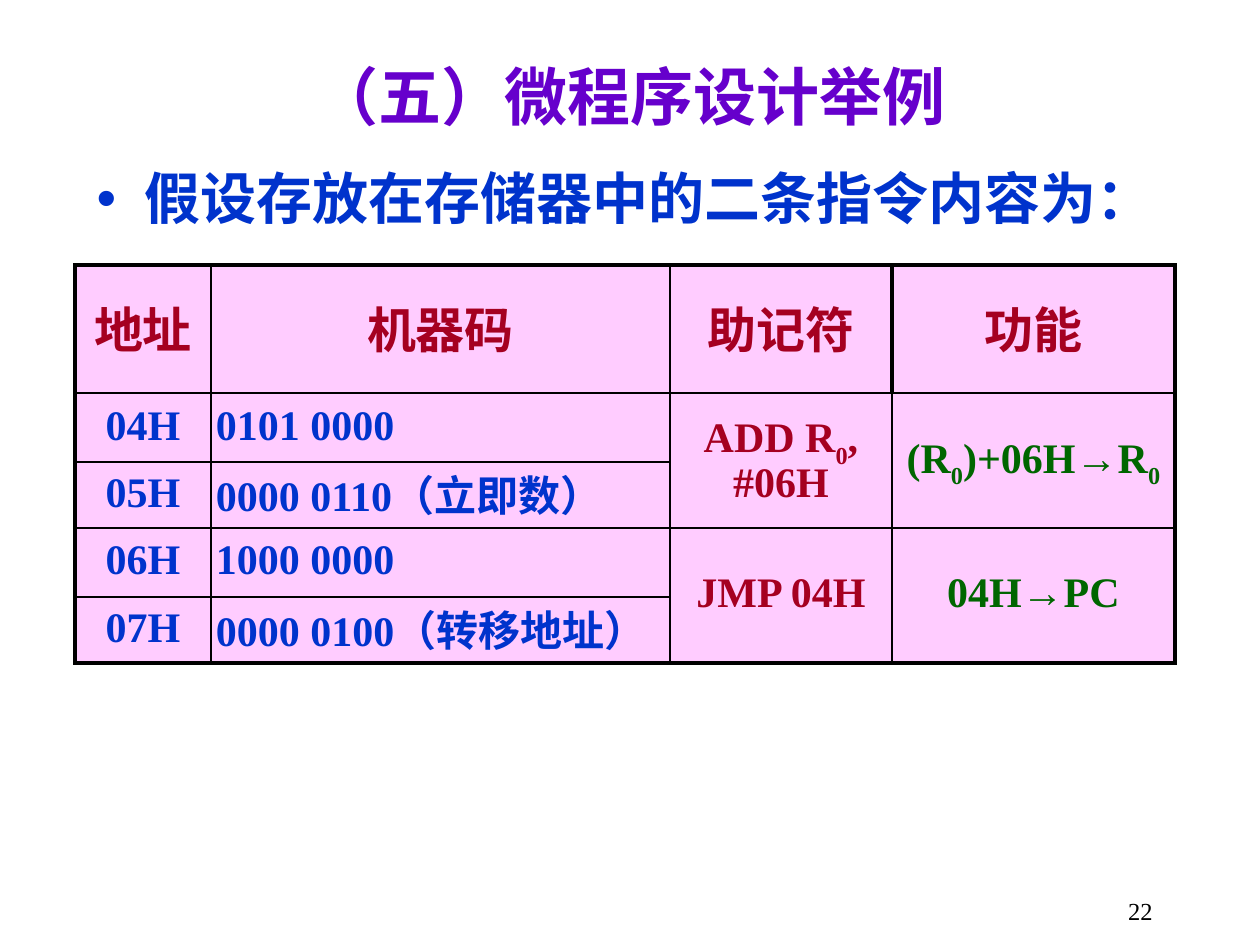
from dataclasses import dataclass

from lxml.etree import SubElement
from pptx import Presentation
from pptx.dml.color import RGBColor
from pptx.enum.text import MSO_ANCHOR, MSO_AUTO_SIZE, PP_ALIGN
from pptx.oxml.ns import qn
from pptx.util import Emu, Pt


@dataclass(frozen=True)
class Theme:
    """Colours, font and type sizes of the slide."""
    font: str = "Times New Roman"
    purple: str = "6600CC"
    blue: str = "0033CC"
    red: str = "A50021"
    green: str = "006600"
    black: str = "000000"
    pink: str = "FFCCFF"
    title: int = 36
    body: int = 32
    header: int = 28
    cell: int = 24
    number: int = 14
    thick: float = 2.25
    thin: float = 1


T = Theme()
COLS = [136, 459, 222, 283]
ROWS = [128, 69, 66, 69, 66]
HEADERS = ["地址", "机器码", "助记符", "功能"]
CODES = [
    ("04H", "0101 0000"),
    ("05H", "0000 0110（立即数）"),
    ("06H", "1000 0000"),
    ("07H", "0000 0100（转移地址）"),
]
INSTRUCTIONS = [("ADD R_0, #06H", "(R_0)+06H→R_0"), ("JMP 04H", "04H→PC")]


def px(n):
    """Turn pixels into EMU at 126 pixels to the inch."""
    return Emu(round(n * 914400 / 126))


def write(tf, text, *, size, color, bold=True, align=PP_ALIGN.CENTER,
          anchor=MSO_ANCHOR.MIDDLE, spacing=1.0, after=0, sub=-25):
    """Write one paragraph; a character after an underscore is a subscript."""
    tf.word_wrap = True
    tf.vertical_anchor = anchor
    p = tf.paragraphs[0]
    p.alignment, p.line_spacing = align, spacing
    p.space_before, p.space_after = Pt(0), Pt(size * after)
    first, *rest = text.split("_")
    pieces = [(first, 0)]
    for part in rest:
        pieces += [(part[0], sub), (part[1:], 0)]
    for piece, shift in pieces:
        if piece:
            r = p.add_run()
            r.text = piece
            r.font.name, r.font.size, r.font.bold = T.font, Pt(size), bold
            r.font.color.rgb = RGBColor.from_string(color)
            if shift:
                r.font._element.set("baseline", str(shift * 1000))
    return p


def place(sp, left, top, width, height):
    """Set the position and size of a shape."""
    sp.left, sp.top, sp.width, sp.height = map(px, (left, top, width, height))


def fill_placeholder(sp, box, text, **fmt):
    """Move a placeholder and write its text."""
    place(sp, *box)
    sp.text_frame.auto_size = MSO_AUTO_SIZE.NONE
    return write(sp.text_frame, text, **fmt)


def add_bullet(p, indent):
    """Give a paragraph a round bullet with a hanging indent."""
    pPr = p._p.get_or_add_pPr()
    pPr.set("marL", str(px(indent)))
    pPr.set("indent", str(-px(indent)))
    SubElement(pPr, qn("a:buChar"), char="•")


def set_borders(cell, widths):
    """Draw the left, right, top and bottom borders of a cell."""
    tcPr = cell._tc.get_or_add_tcPr()
    for side, width in zip("LRTB", widths):
        ln = SubElement(tcPr, qn(f"a:ln{side}"), w=str(Pt(width)))
        SubElement(SubElement(ln, qn("a:solidFill")), qn("a:srgbClr"), val=T.black)


def style_cell(cell, row, col):
    """Set the borders, fill and margins of a cell by its place in the table."""
    last = row + (cell.span_height if cell.is_merge_origin else 1) - 1
    outer = (
        col == 0 or (row == 0 and col == 3),
        col == 3 or (row == 0 and col == 2),
        row == 0,
        last == len(ROWS) - 1,
    )
    set_borders(cell, [T.thick if edge else T.thin for edge in outer])
    cell.fill.solid()
    cell.fill.fore_color.rgb = RGBColor.from_string(T.pink)
    cell.margin_left = cell.margin_right = px(5)
    cell.margin_top = cell.margin_bottom = px(5)


def write_cell(cell, text, **fmt):
    """Write a table cell with the spacing shared by the table."""
    cell.vertical_anchor = MSO_ANCHOR.MIDDLE
    write(cell.text_frame, text, anchor=None, spacing=0.9, after=0.2, **fmt)


def add_instruction_table(s):
    """Add the table of machine codes and instructions."""
    frame = s.shapes.add_table(len(ROWS), len(COLS), px(75), px(265),
                               px(sum(COLS)), px(sum(ROWS)))
    table = frame.table
    table.first_row = table.horz_banding = False
    for column, width in zip(table.columns, COLS):
        column.width = px(width)
    for row, height in zip(table.rows, ROWS):
        row.height = px(height)
    for i in range(len(INSTRUCTIONS)):
        for col in (2, 3):
            table.cell(2 * i + 1, col).merge(table.cell(2 * i + 2, col))
    for row in range(len(ROWS)):
        for col in range(len(COLS)):
            cell = table.cell(row, col)
            if not cell.is_spanned:
                style_cell(cell, row, col)
    for col, text in enumerate(HEADERS):
        write_cell(table.cell(0, col), text, size=T.header, color=T.red)
    for row, (address, code) in enumerate(CODES, 1):
        write_cell(table.cell(row, 0), address, size=T.cell, color=T.blue)
        write_cell(table.cell(row, 1), code, size=T.cell, color=T.blue,
                   align=PP_ALIGN.LEFT)
    for i, (mnemonic, function) in enumerate(INSTRUCTIONS):
        row = 2 * i + 1
        write_cell(table.cell(row, 2), mnemonic, size=T.cell, color=T.red, sub=-30)
        write_cell(table.cell(row, 3), function, size=T.cell, color=T.green)


def add_page_number(s, text):
    """Add the page number at the lower right."""
    sp = s.shapes.add_textbox(px(903), px(890), px(262), px(35))
    write(sp.text_frame, text, size=T.number, color=T.black, bold=False,
          align=PP_ALIGN.RIGHT, anchor=MSO_ANCHOR.TOP)


def main():
    """Build the slide and save it."""
    prs = Presentation()
    prs.slide_width, prs.slide_height = px(1260), px(945)
    s = prs.slides.add_slide(prs.slide_layouts[1])
    fill_placeholder(s.shapes.title, (95, 45, 1071, 101), "（五）微程序设计举例",
                     size=T.title, color=T.purple)
    p = fill_placeholder(s.placeholders[1], (84, 165, 1091, 100),
                         "假设存放在存储器中的二条指令内容为：",
                         size=T.body, color=T.blue, align=PP_ALIGN.LEFT,
                         anchor=MSO_ANCHOR.TOP, spacing=0.9, after=0.2)
    add_bullet(p, 48)
    add_instruction_table(s)
    add_page_number(s, "22")
    prs.save("out.pptx")


if __name__ == "__main__":
    main()
